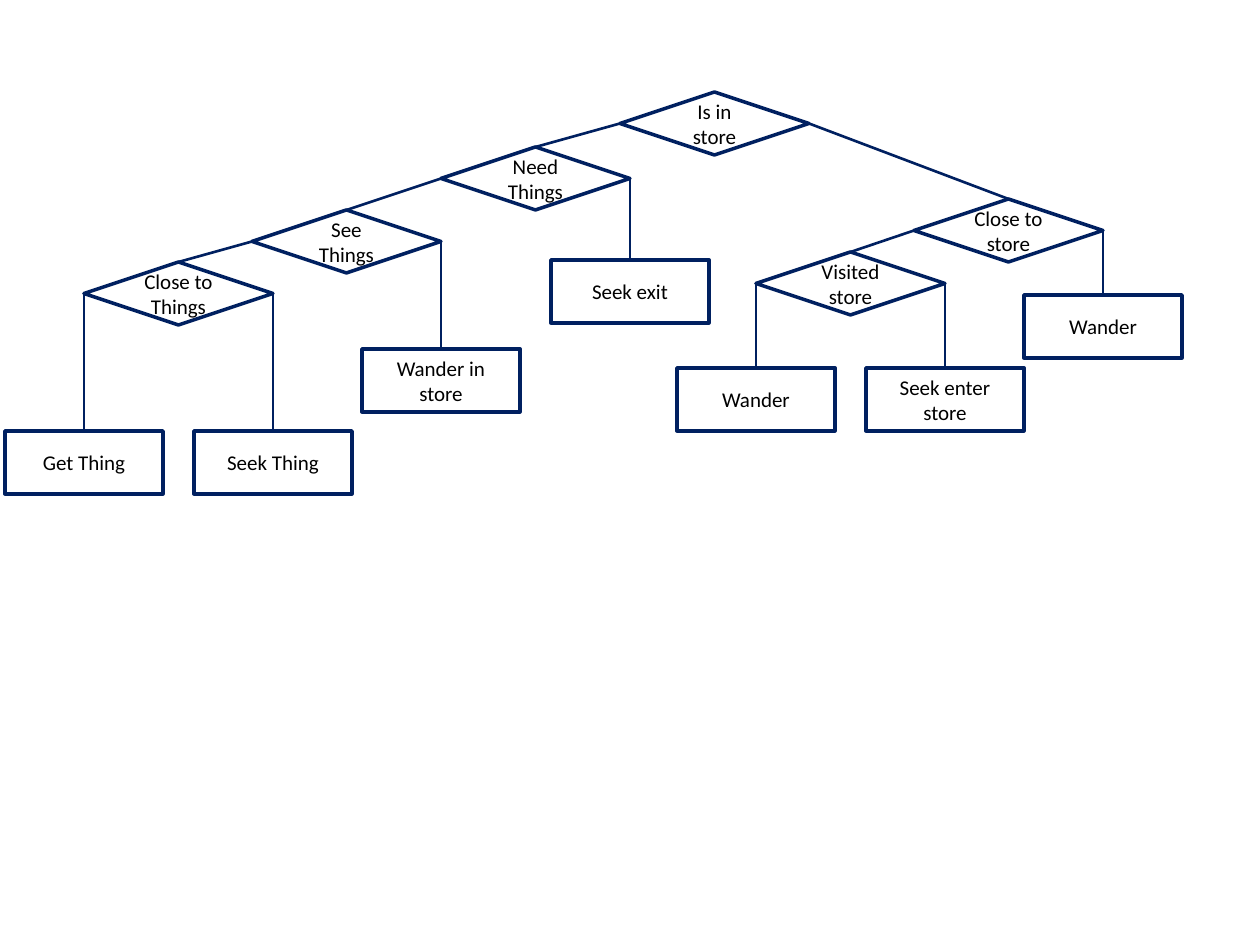
from dataclasses import dataclass
from typing import Union

from pptx import Presentation
from pptx.dml.color import RGBColor
from pptx.enum.shapes import MSO_CONNECTOR, MSO_SHAPE
from pptx.enum.text import MSO_ANCHOR, PP_ALIGN
from pptx.oxml.ns import qn
from pptx.shapes.autoshape import Shape
from pptx.slide import Slide
from pptx.util import Emu, Pt

PX_PER_INCH = 126
SLIDE_WIDTH, SLIDE_HEIGHT = 1260, 945
DECISION_WIDTH, ACTION_WIDTH, NODE_HEIGHT = 189, 158, 63
TOP, LEFT, RIGHT = 0, 1, 3

NAVY = RGBColor(0x00, 0x20, 0x60)
BLACK = RGBColor(0x00, 0x00, 0x00)


@dataclass(frozen=True)
class Action:
    """A leaf of the tree, centred below the corner it hangs from."""
    label: str
    top: int


@dataclass(frozen=True)
class Decision:
    label: str
    left: int
    top: int
    left_branch: "Node"
    right_branch: "Node"


@dataclass(frozen=True)
class Link:
    parent: Shape
    side: int
    child: Shape


Node = Union[Action, Decision]

TREE = Decision(
    "Is in store", 620, 92,
    Decision(
        "Need Things", 441, 147,
        Decision(
            "See Things", 252, 210,
            Decision("Close to Things", 84, 262,
                     Action("Get Thing", 431), Action("Seek Thing", 431)),
            Action("Wander in store", 349)),
        Action("Seek exit", 260)),
    Decision(
        "Close to store", 914, 199,
        Decision("Visited store", 756, 252,
                 Action("Wander", 368), Action("Seek enter store", 368)),
        Action("Wander", 295)))


def px(length: int) -> Emu:
    return Emu(round(length * 914400 / PX_PER_INCH))


def draw_box(page: Slide, kind: MSO_SHAPE, label: str,
             left: int, top: int, width: int) -> Shape:
    box = page.shapes.add_shape(kind, px(left), px(top), px(width), px(NODE_HEIGHT))
    box.shadow.inherit = False
    box.fill.background()
    box.line.color.rgb = NAVY
    box.line.width = Pt(2)
    frame = box.text_frame
    frame.word_wrap = True
    frame.vertical_anchor = MSO_ANCHOR.MIDDLE
    para = frame.paragraphs[0]
    para.text = label
    para.alignment = PP_ALIGN.CENTER
    para.font.name = "Calibri"
    para.font.size = Pt(12)
    para.font.color.rgb = BLACK
    return box


def draw_node(page: Slide, node: Node, corner: int, links: list[Link]) -> Shape:
    """Draw a node and all below it, and collect the links between them."""
    if isinstance(node, Action):
        return draw_box(page, MSO_SHAPE.RECTANGLE, node.label,
                        corner - ACTION_WIDTH // 2, node.top, ACTION_WIDTH)
    decision = draw_box(page, MSO_SHAPE.FLOWCHART_DECISION, node.label,
                        node.left, node.top, DECISION_WIDTH)
    branches = ((LEFT, node.left, node.left_branch),
                (RIGHT, node.left + DECISION_WIDTH, node.right_branch))
    for side, branch_corner, branch in branches:
        child = draw_node(page, branch, branch_corner, links)
        links.append(Link(decision, side, child))
    return decision


def draw_link(page: Slide, link: Link) -> None:
    line = page.shapes.add_connector(MSO_CONNECTOR.STRAIGHT, 0, 0, 0, 0)
    line.begin_connect(link.parent, link.side)
    line.end_connect(link.child, TOP)
    line.line.color.rgb = NAVY
    line.line.width = Pt(1.5)
    properties = line._element.spPr
    properties.append(properties.makeelement(qn("a:effectLst"), {}))


def main() -> None:
    deck = Presentation()
    deck.slide_width, deck.slide_height = px(SLIDE_WIDTH), px(SLIDE_HEIGHT)
    page = deck.slides.add_slide(deck.slide_layouts[6])
    links: list[Link] = []
    draw_node(page, TREE, TREE.left, links)
    for link in links:
        draw_link(page, link)
    deck.save("out.pptx")


if __name__ == "__main__":
    main()
